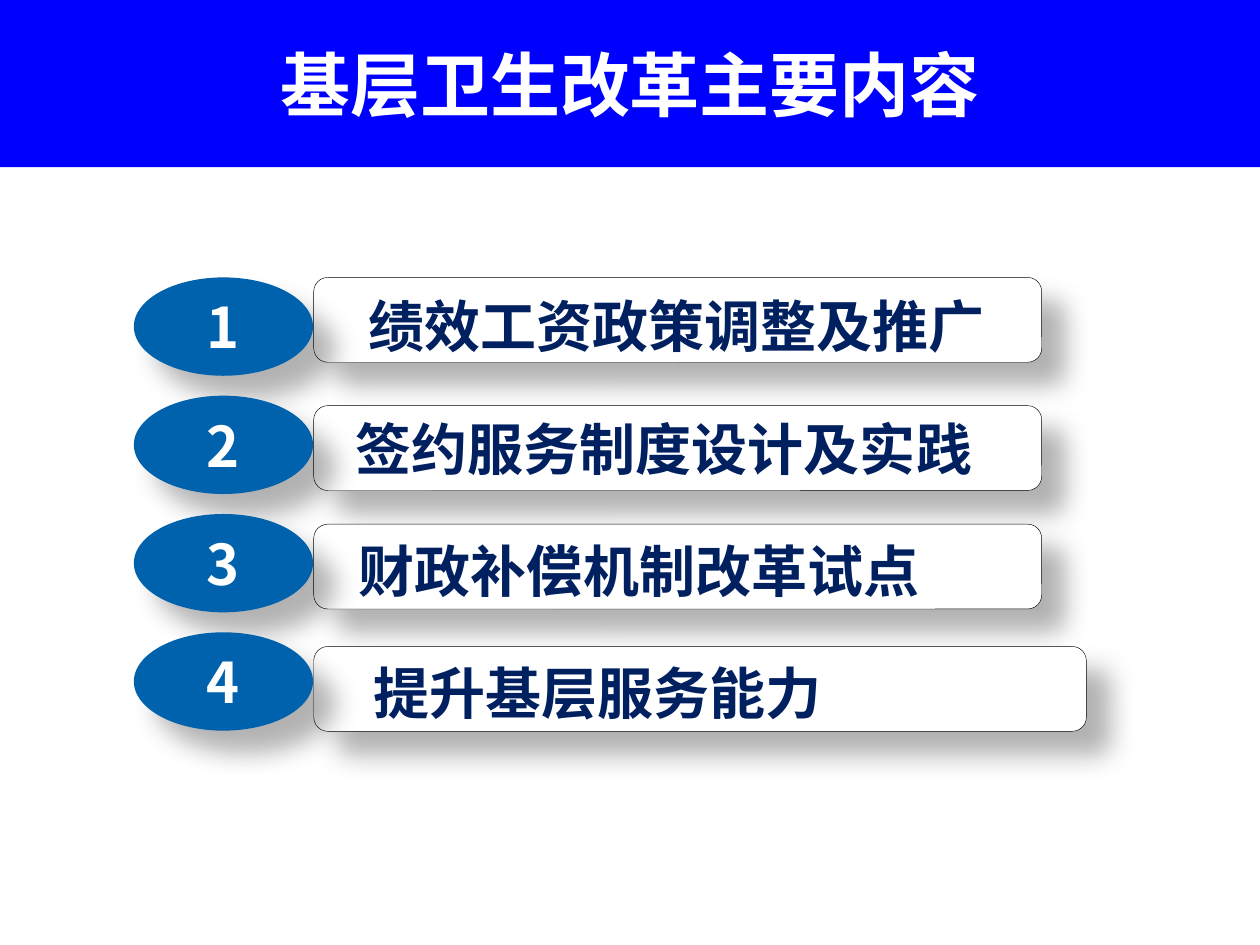
from pptx import Presentation
from pptx.dml.color import RGBColor
from pptx.enum.shapes import MSO_SHAPE
from pptx.enum.text import MSO_ANCHOR, PP_ALIGN
from pptx.oxml.ns import qn
from pptx.util import Pt
from lxml import etree

RECT = MSO_SHAPE.RECTANGLE
BAR = MSO_SHAPE.FLOWCHART_ALTERNATE_PROCESS
OVAL = MSO_SHAPE.FLOWCHART_CONNECTOR
MIDDLE = MSO_ANCHOR.MIDDLE
LEFT, CENTER = PP_ALIGN.LEFT, PP_ALIGN.CENTER

COLORS = {"blue": "0000FF", "disc": "0062AC", "navy": "002060",
          "white": "FFFFFF", "black": "000000"}
FONT = "Noto Sans CJK SC"

# wording, bar top, bar width, text indent, text drop
ROWS = [
    ("绩效工资政策调整及推广", 158.5, 416, 29, 6),
    ("签约服务制度设计及实践", 231.8, 416, 21.7, 0),
    ("财政补偿机制改革试点", 299.5, 416, 23.5, 4),
    ("提升基层服务能力", 369.4, 441.5, 31.7, 4),
]
DISC_TOP, DISC_STEP = 158.5, 67.6


class Deck:
    def __init__(self):
        self.prs = Presentation()
        self.prs.slide_width, self.prs.slide_height = Pt(720), Pt(540)
        self.slide = self.prs.slides.add_slide(self.prs.slide_layouts[6])

    def color(self, name):
        return RGBColor.from_string(COLORS[name])

    def shape(self, kind, box, fill):
        item = self.slide.shapes.add_shape(kind, *map(Pt, box))
        item.shadow.inherit = False
        item.fill.solid()
        item.fill.fore_color.rgb = self.color(fill)
        item.line.fill.background()
        return item

    def shade(self, item):
        """Drop a soft shadow to the lower right."""
        effects = item._element.spPr.find(qn("a:effectLst"))
        outer = etree.SubElement(effects, qn("a:outerShdw"), blurRad=str(Pt(15)),
                                 dist=str(Pt(18)), dir="2700000", algn="tl",
                                 rotWithShape="0")
        tint = etree.SubElement(outer, qn("a:srgbClr"), val=COLORS["black"])
        etree.SubElement(tint, qn("a:alpha"), val="30000")

    def label(self, item, text, size, color, align=CENTER, indent=0, drop=0):
        frame = item.text_frame
        frame.word_wrap = True
        frame.vertical_anchor = MIDDLE
        frame.margin_left, frame.margin_top = Pt(indent), Pt(drop)
        frame.margin_right = frame.margin_bottom = 0
        para = frame.paragraphs[0]
        para.text = text
        para.alignment = align
        font = para.font
        font.name, font.size, font.bold = FONT, Pt(size), True
        font.color.rgb = self.color(color)
        props = para._p.pPr.find(qn("a:defRPr"))
        etree.SubElement(props, qn("a:ea"), typeface=FONT)

    def bar(self, text, top, width, indent, drop):
        item = self.shape(BAR, (179.3, top, width, 48.5), "white")
        item.line.color.rgb = self.color("black")
        item.line.width = Pt(0.25)
        self.shade(item)
        self.label(item, text, 32, "navy", LEFT, indent, drop)

    def disc(self, text, top):
        item = self.shape(OVAL, (76.5, top, 102.4, 56.2), "disc")
        self.shade(item)
        self.label(item, text, 32, "white")

    def title(self, text):
        item = self.shape(RECT, (0, 0, 720, 95.5), "blue")
        self.label(item, text, 40, "white")


def main():
    deck = Deck()
    for i, row in enumerate(ROWS):
        deck.bar(*row)
        deck.disc(str(i + 1), DISC_TOP + i * DISC_STEP)
    deck.title("基层卫生改革主要内容")
    deck.prs.save("out.pptx")


if __name__ == "__main__":
    main()
